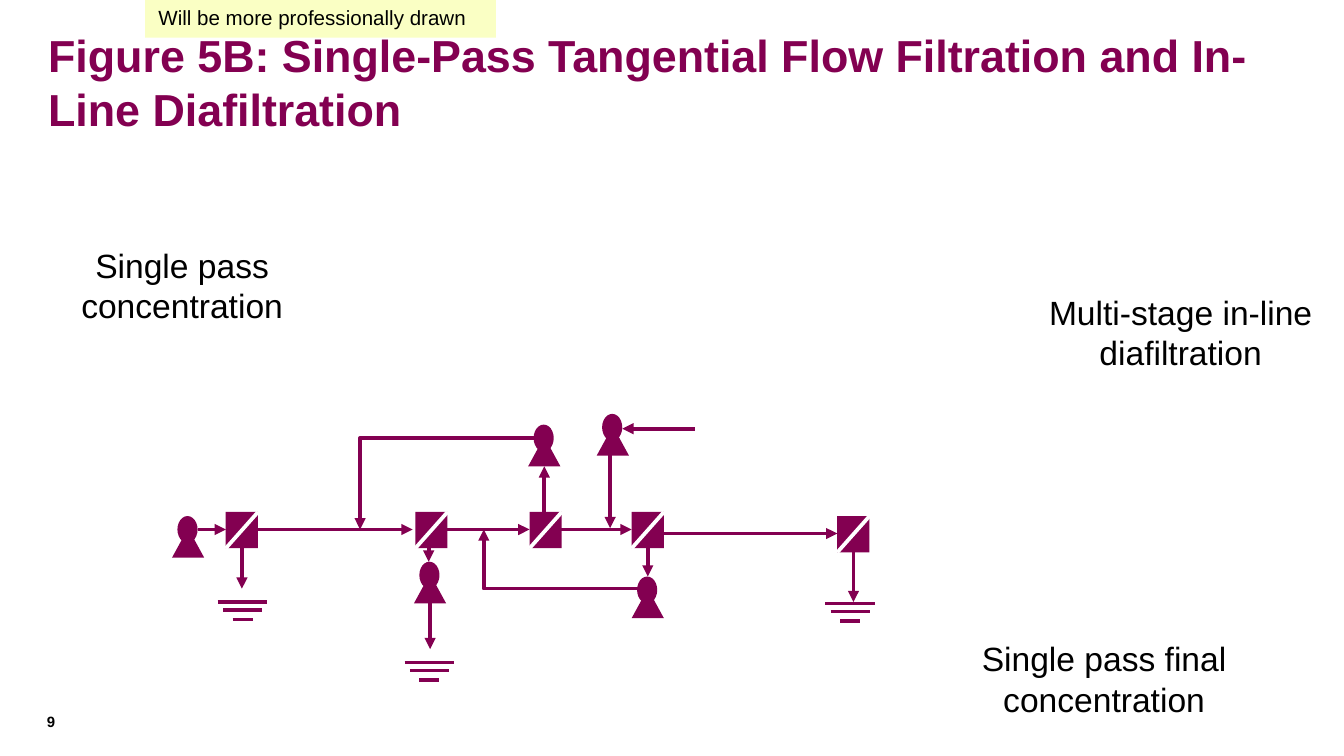
from lxml.etree import SubElement
from pptx import Presentation
from pptx.dml.color import RGBColor as RGB
from pptx.enum.shapes import MSO_CONNECTOR as LINK, MSO_SHAPE as FORM
from pptx.enum.text import PP_ALIGN as ALIGN
from pptx.oxml.ns import qn
from pptx.util import Emu, Pt

PX = 9144
HUE = {"plum": "830051", "white": "FFFFFF", "black": "000000", "note": "FAFFC4"}


def emu(*nums):
    """Turn px lengths into EMU."""
    return [Emu(n * PX) for n in nums]


def tint(name):
    """Return a named colour."""
    return RGB.from_string(HUE[name])


def write(slide, box, words, size, hue="black", bold=False, align=ALIGN.LEFT, pad=(10, 5)):
    """Add a wrapped text box."""
    shape = slide.shapes.add_textbox(*emu(*box))
    frame = shape.text_frame
    frame.word_wrap = True
    frame.margin_left = frame.margin_right = Emu(pad[0] * PX)
    frame.margin_top = frame.margin_bottom = Emu(pad[1] * PX)
    para = frame.paragraphs[0]
    para.text = words
    para.alignment = align
    font = para.font
    font.name, font.size, font.bold = "Arial", Pt(size), bold
    font.color.rgb = tint(hue)
    return shape


def solid(slide, form, box):
    """Add a plain plum shape."""
    shape = slide.shapes.add_shape(form, *emu(*box))
    shape.shadow.inherit = False
    shape.fill.solid()
    shape.fill.fore_color.rgb = tint("plum")
    shape.line.fill.background()


def stroke(slide, ends, hue="plum", arrow=False, bent=False):
    """Add a straight or one-corner line, with an arrowhead if asked."""
    kind = LINK.ELBOW if bent else LINK.STRAIGHT
    link = slide.shapes.add_connector(kind, *emu(*ends))
    link.line.color.rgb = tint(hue)
    link.line.width = Pt(2)
    props = link._element.spPr
    if bent:
        props.find(qn("a:prstGeom")).set("prst", "bentConnector2")
    if arrow:
        SubElement(props.find(qn("a:ln")), qn("a:tailEnd"), type="triangle")
    SubElement(props, qn("a:effectLst"))


def filter_unit(slide, x, y):
    """Draw a membrane filter: a square with a white diagonal."""
    wide, high = 24, 27
    solid(slide, FORM.RECTANGLE, (x, y, wide, high))
    stroke(slide, (x + wide, y, x, y + high), "white")


def pump(slide, x, y):
    """Draw a pump: a round head on a triangular foot."""
    solid(slide, FORM.OVAL, (x + 4, y, 15, 20))
    solid(slide, FORM.ISOSCELES_TRIANGLE, (x, y + 9, 24, 22))


def drain(slide, x, y):
    """Draw a drain: three bars that get shorter."""
    for inset, drop in ((0, 0), (4, 6), (11, 13)):
        stroke(slide, (x + inset, y + drop, x + 37 - inset, y + drop))


def diagram(slide, left, top):
    """Draw the flow of filters, pumps, drains and pipes."""
    parts = {
        filter_unit: ((40, 73), (181, 73), (266, 73), (342, 73), (495, 76)),
        pump: ((0, 76), (180, 110), (265, 8), (316, 0), (342, 121)),
        drain: ((34, 140), (173, 185), (486, 141)),
    }
    for draw, spots in parts.items():
        for x, y in spots:
            draw(slide, left + x, top + y)
    main = [(a, 86, b, 86) for a, b in ((19, 40), (64, 179), (203, 266), (289, 342))]
    side = [
        (366, 89, 495, 89), (389, 11, 335, 11), (326, 28, 326, 85),
        (277, 73, 277, 39), (354, 99, 354, 121), (52, 99, 52, 130),
        (191, 99, 191, 110), (192, 141, 192, 175), (507, 103, 507, 140),
    ]
    loops = [(347, 130, 232, 86), (270, 18, 140, 86)]
    for pipes, bent in ((main + side, False), (loops, True)):
        for a, b, c, d in pipes:
            stroke(slide, (left + a, top + b, left + c, top + d), arrow=True, bent=bent)


def labels(slide, left, top):
    """Name the three stages of the process."""
    for x, y, words in (
        (0, 0, "Single pass concentration"),
        (743, 35, "Multi-stage in-line diafiltration"),
        (686, 293, "Single pass final concentration"),
    ):
        write(slide, (left + x, top + y, 271, 71), words, 18, align=ALIGN.CENTER)


def header(slide, left, top):
    """Place the title and the note above it."""
    write(slide, (left, top, 959, 55), "Figure 5B: Single-Pass Tangential Flow "
          "Filtration and In-Line Diafiltration", 24, "plum", True)
    note = write(slide, (left + 82, top - 17, 261, 29),
                 "Will be more professionally drawn", 11)
    note.fill.solid()
    note.fill.fore_color.rgb = tint("note")


def main():
    """Build and save the slide."""
    deck = Presentation()
    deck.slide_width = Emu(1000 * PX)
    deck.slide_height = Emu(deck.slide_width * 9 // 16)
    slide = deck.slides.add_slide(deck.slide_layouts[6])
    header(slide, 26, 16)
    labels(slide, 0, 177)
    diagram(slide, 128, 308)
    write(slide, (35, 530, 43, 18), "9", 8, bold=True, pad=(0, 0))
    deck.save("out.pptx")


if __name__ == "__main__":
    main()
